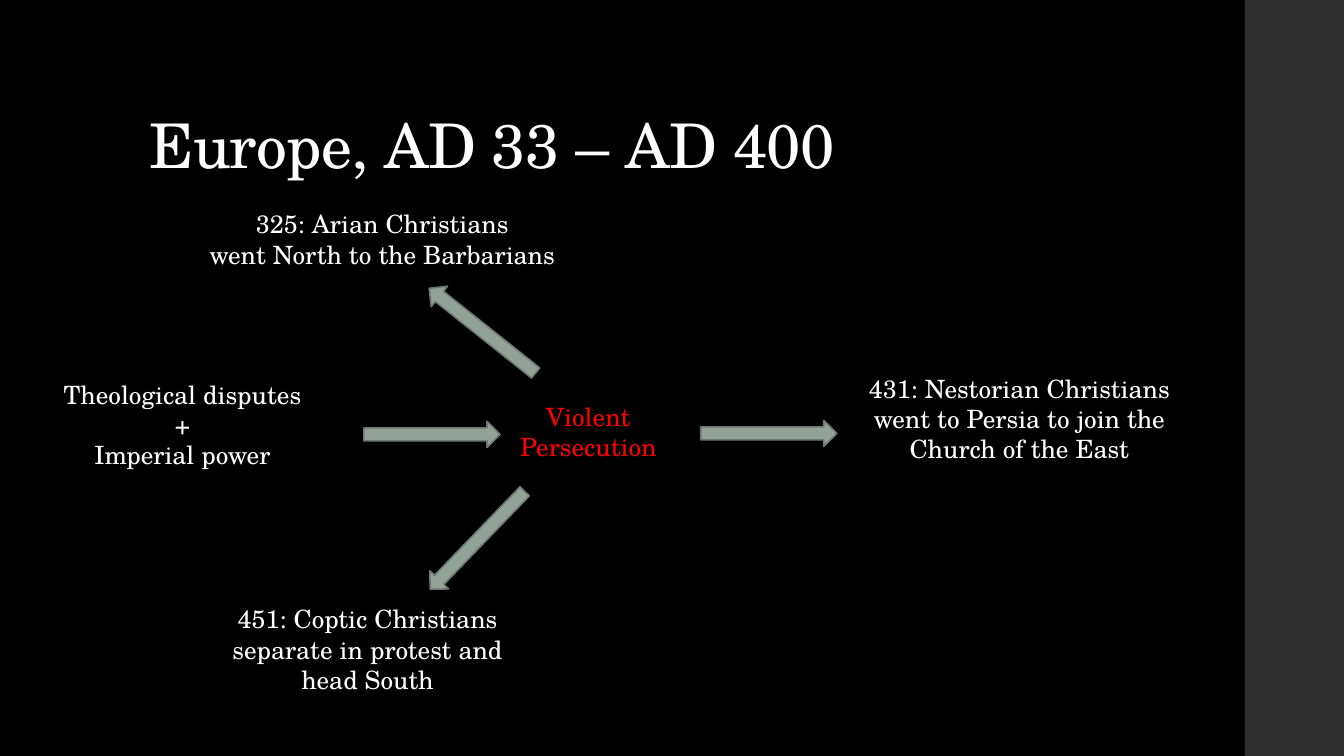
"""Build the slide on how persecution scattered Christians from Europe."""
import pptx
import pptx.util
import pptx.dml.color
import pptx.enum.shapes
import pptx.enum.text

Inches = pptx.util.Inches
Anchor = pptx.enum.text.MSO_ANCHOR
Align = pptx.enum.text.PP_ALIGN

THEME = {
    "font": "TeX Gyre Schola",
    "background": "000000",
    "side_band": "303030",
    "text": "FFFFFF",
    "alert": "FF0000",
    "arrow": "93A299",
    "arrow_edge": "6D7871",
    "title_size": 44,
    "label_size": 18,
    "edge_width": 1.1,
}

TITLE = "Europe, AD 33 – AD 400"
TITLE_FRAME = (1.38, 0.4, 10.6, 1.45)
BAND_FRAME = (12.35, 0, 1, 7.5)

LABELS = [
    ("Theological disputes\n+\nImperial power", (-0.25, 3.71, 4.12, 1.31), "text"),
    ("325: Arian Christians\vwent North to the Barbarians", (1.9, 2.02, 3.78, 0.71), "text"),
    ("451: Coptic Christians separate in protest and head South", (1.9, 5.94, 3.49, 1.01), "text"),
    ("431: Nestorian Christians\nwent to Persia to join the Church of the East", (8.48, 3.65, 3.26, 1.01), "text"),
    ("Violent\vPersecution", (2.5, 3.93, 6.67, 0.71), "alert"),
]

ARROW_SIZE = (1.35, 0.26)
ARROWS = [
    (3.61, 4.18, 0),
    (6.95, 4.17, 0),
    (4.11, 3.15, 218.5),
    (4.06, 5.23, 134),
]


def color(name):
    """Return a theme colour."""
    return pptx.dml.color.RGBColor.from_string(THEME[name])


def lengths(frame):
    """Turn numbers in inches into lengths."""
    return [Inches(value) for value in frame]


def style_text(frame, size, color_name, align):
    """Format every paragraph and run of a text frame."""
    frame.word_wrap = True
    for para in frame.paragraphs:
        para.alignment = align
        for span in para.runs:
            span.font.name = THEME["font"]
            span.font.size = pptx.util.Pt(THEME[size])
            span.font.color.rgb = color(color_name)


def add_title(page):
    """Fill and place the title placeholder."""
    title = page.shapes.title
    title.left, title.top, title.width, title.height = lengths(TITLE_FRAME)
    frame = title.text_frame
    frame.text = TITLE
    frame.auto_size = pptx.enum.text.MSO_AUTO_SIZE.NONE
    frame.vertical_anchor = Anchor.BOTTOM
    style_text(frame, "title_size", "text", Align.LEFT)
    para = frame.paragraphs[0]
    para.line_spacing = 0.9
    para.runs[0].font._element.set("spc", "-50")


def add_label(page, text, frame, color_name):
    """Add one centred label."""
    box = page.shapes.add_textbox(*lengths(frame))
    box.text_frame.text = text
    style_text(box.text_frame, "label_size", color_name, Align.CENTER)


def add_filled(page, kind, frame, fill):
    """Add a flat preset shape without an outline."""
    shape = page.shapes.add_shape(kind, *lengths(frame))
    shape.shadow.inherit = False
    shape.fill.solid()
    shape.fill.fore_color.rgb = color(fill)
    shape.line.fill.background()
    return shape


def add_arrow(page, left, top, angle):
    """Add one outlined block arrow."""
    kind = pptx.enum.shapes.MSO_SHAPE.RIGHT_ARROW
    arrow = add_filled(page, kind, (left, top, *ARROW_SIZE), "arrow")
    arrow.rotation = angle
    arrow.line.color.rgb = color("arrow_edge")
    arrow.line.width = pptx.util.Pt(THEME["edge_width"])


def main():
    """Assemble and save the deck."""
    deck = pptx.Presentation()
    deck.slide_width, deck.slide_height = lengths((13.33, 7.5))
    page = deck.slides.add_slide(deck.slide_layouts[5])
    page.background.fill.solid()
    page.background.fill.fore_color.rgb = color("background")
    add_filled(page, pptx.enum.shapes.MSO_SHAPE.RECTANGLE, BAND_FRAME, "side_band")
    add_title(page)
    for label in LABELS:
        add_label(page, *label)
    for arrow in ARROWS:
        add_arrow(page, *arrow)
    deck.save("out.pptx")


if __name__ == "__main__":
    main()
